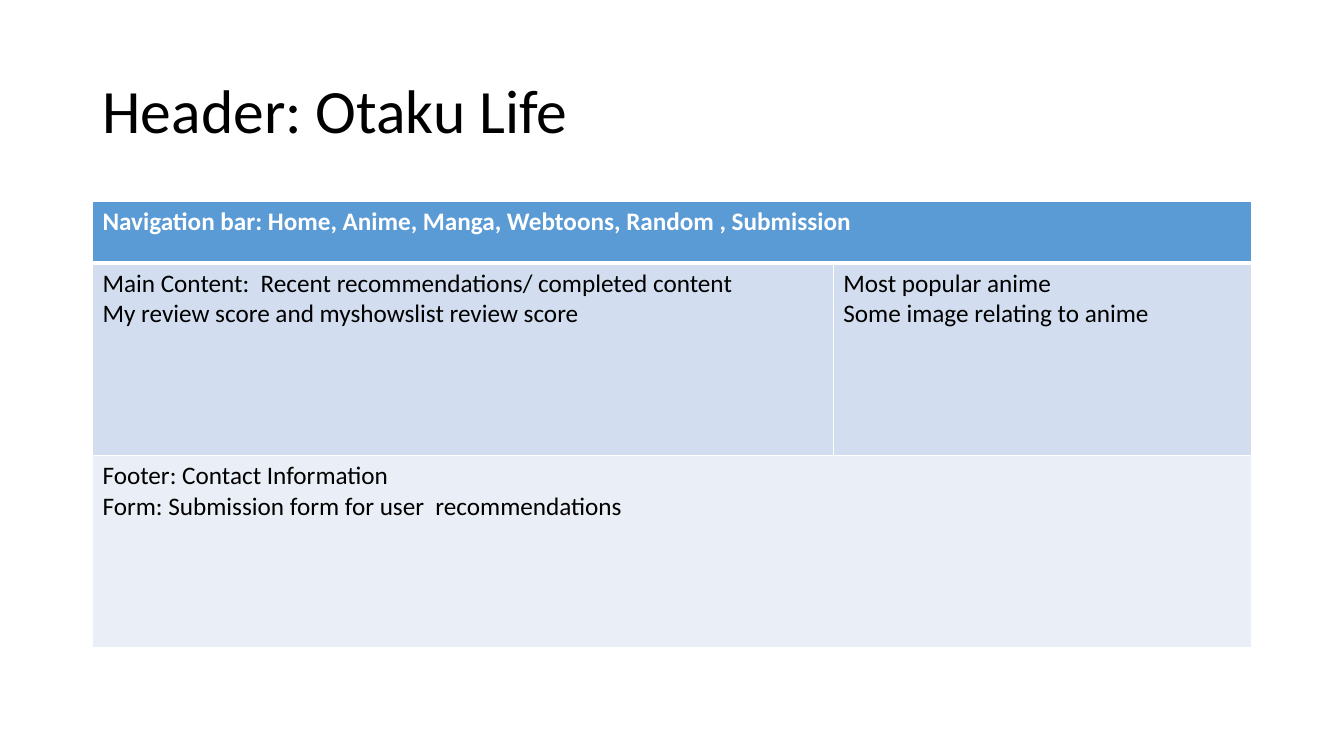
from dataclasses import dataclass

from lxml import etree
from pptx import Presentation, util as u
from pptx.dml.color import RGBColor
from pptx.enum import text
from pptx.oxml.ns import qn

COLORS = {"black": "000000", "white": "FFFFFF", "header": "5B9BD5",
          "band": "D2DEEF", "light": "EAEFF7"}
FONT = "Calibri"
LEFT, WIDTH = u.Cm(2.33), u.Cm(29.21)
COL_WIDTHS = (18.67, 10.54)
ROW_HEIGHTS = (1.55, 4.85, 4.85)
THIN, THICK = 1, 3


@dataclass
class Area:
    row: int
    col: int
    lines: tuple[str, ...]
    fill: str
    span: int = 1
    color: str = "black"
    bold: bool = False


AREAS = (
    Area(0, 0, ("Navigation bar: Home, Anime, Manga, Webtoons, Random , Submission",),
         "header", span=2, color="white", bold=True),
    Area(1, 0, ("Main Content:  Recent recommendations/ completed content",
                "My review score and myshowslist review score"), "band"),
    Area(1, 1, ("Most popular anime", "Some image relating to anime"), "band"),
    Area(2, 0, ("Footer: Contact Information",
                "Form: Submission form for user  recommendations"), "light", span=2),
)


def rgb(name: str) -> RGBColor:
    return RGBColor.from_string(COLORS[name])


def add_run(p, content: str, size: int, color: str, bold: bool = False) -> None:
    r = p.add_run()
    r.text = content
    r.font.name, r.font.size, r.font.bold = FONT, u.Pt(size), bold
    r.font.color.rgb = rgb(color)


def set_borders(cell, top: int, bottom: int) -> None:
    tcPr = cell._tc.get_or_add_tcPr()
    for side, width in (("L", THIN), ("R", THIN), ("T", top), ("B", bottom)):
        ln = etree.SubElement(tcPr, qn(f"a:ln{side}"), w=str(u.Pt(width)))
        fill = etree.SubElement(ln, qn("a:solidFill"))
        etree.SubElement(fill, qn("a:srgbClr"), val=COLORS["white"])


def fill_area(tbl, area: Area) -> None:
    cell = tbl.cell(area.row, area.col)
    for col in range(area.col, area.col + area.span):
        part = tbl.cell(area.row, col)
        set_borders(part, top=THICK if area.row == 1 else THIN,
                    bottom=THICK if area.row == 0 else THIN)
        part.fill.solid()
        part.fill.fore_color.rgb = rgb(area.fill)
    if area.span > 1:
        cell.merge(tbl.cell(area.row, area.col + area.span - 1))
    tf = cell.text_frame
    for i, line in enumerate(area.lines):
        p = tf.add_paragraph() if i else tf.paragraphs[0]
        add_run(p, line, 18, area.color, area.bold)


def add_title(s, content: str) -> None:
    sp = s.shapes.title
    sp.left, sp.top, sp.width, sp.height = LEFT, u.Cm(1.01), WIDTH, u.Cm(3.68)
    tf = sp.text_frame
    tf.vertical_anchor = text.MSO_ANCHOR.MIDDLE
    p = tf.paragraphs[0]
    p.alignment, p.line_spacing = text.PP_ALIGN.LEFT, 0.9
    add_run(p, content, 44, "black")


def add_layout_table(s) -> None:
    tbl = s.shapes.add_table(len(ROW_HEIGHTS), len(COL_WIDTHS), LEFT, u.Cm(5.08),
                             WIDTH, u.Cm(sum(ROW_HEIGHTS))).table
    for col, width in zip(tbl.columns, COL_WIDTHS):
        col.width = u.Cm(width)
    for row, height in zip(tbl.rows, ROW_HEIGHTS):
        row.height = u.Cm(height)
    for area in AREAS:
        fill_area(tbl, area)


def main() -> None:
    prs = Presentation()
    prs.slide_width, prs.slide_height = u.Cm(33.87), u.Cm(19.05)
    s = prs.slides.add_slide(prs.slide_layouts[5])
    # Page header
    add_title(s, "Header: Otaku Life")
    # Navigation, content and footer areas
    add_layout_table(s)
    prs.save("out.pptx")


if __name__ == "__main__":
    main()
